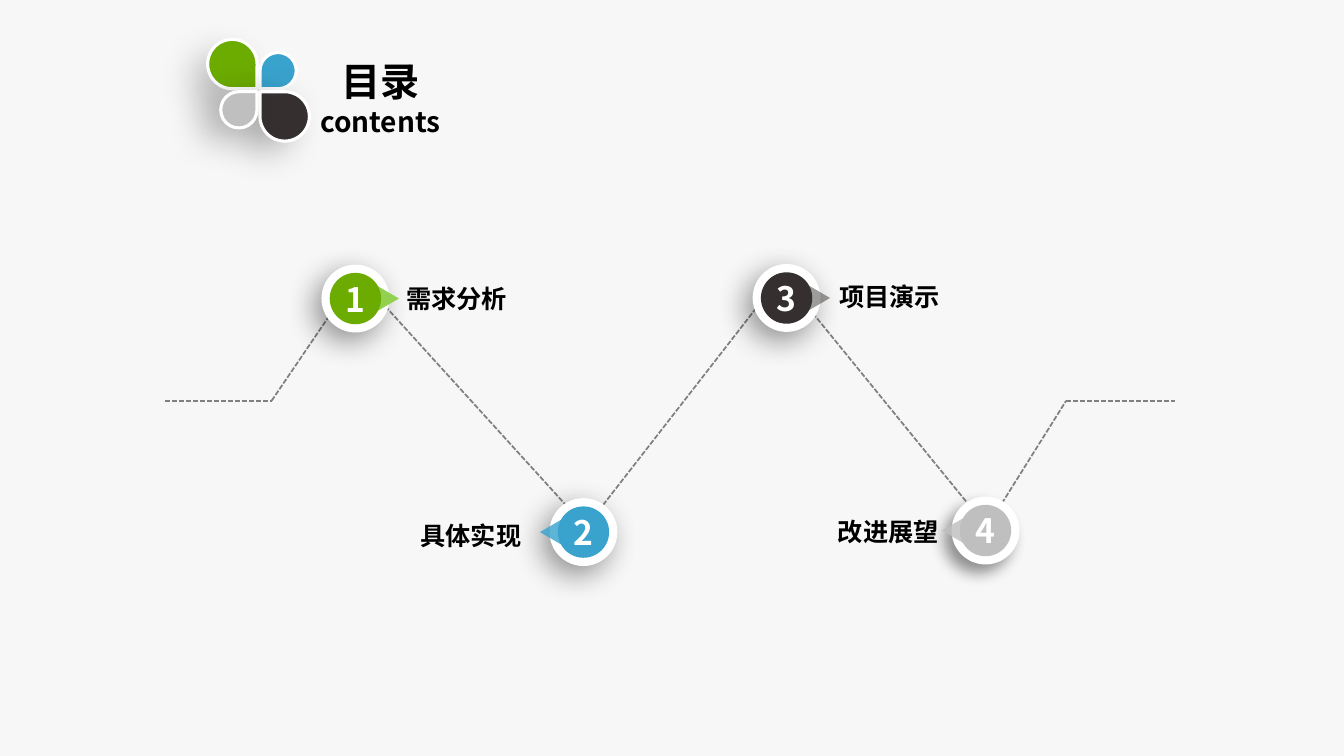
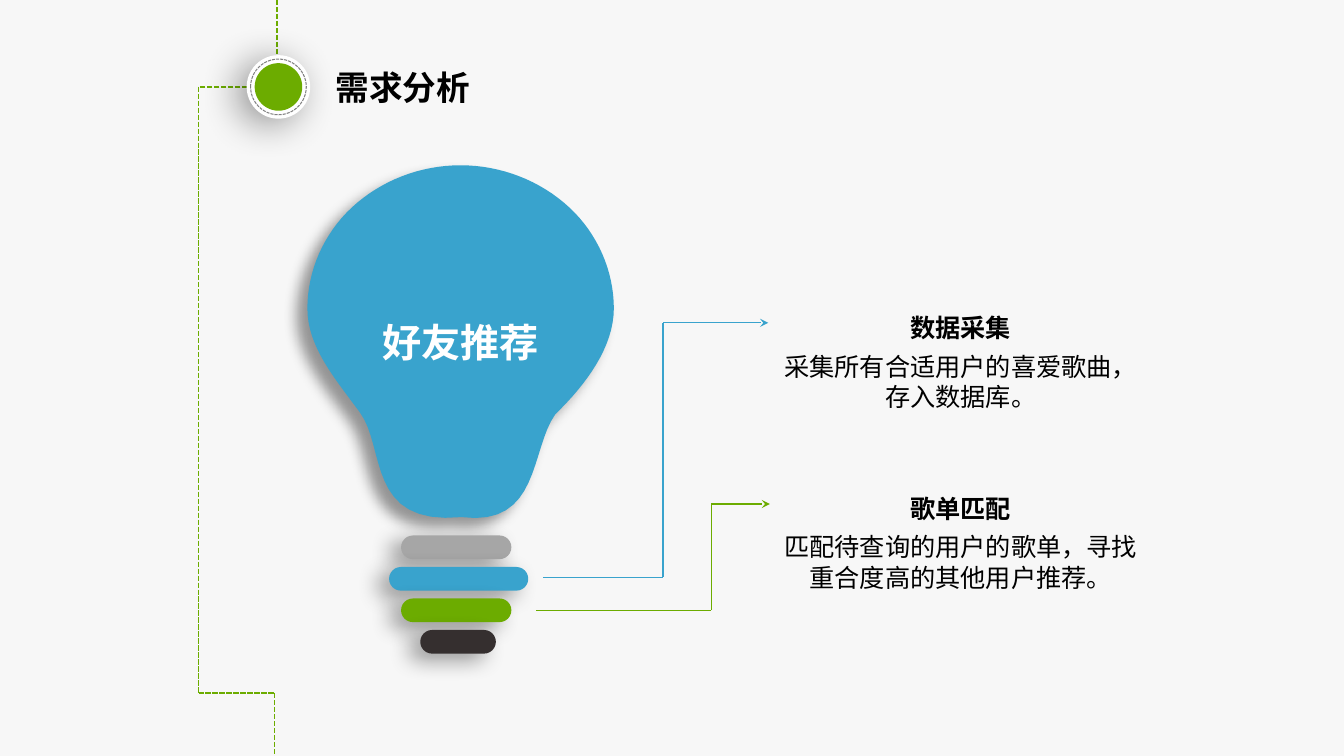
from itertools import pairwise

from lxml.etree import SubElement
from pptx import Presentation
from pptx.dml.color import RGBColor
from pptx.enum.dml import MSO_LINE
from pptx.enum.shapes import MSO_CONNECTOR, MSO_SHAPE as Preset
from pptx.enum.text import MSO_ANCHOR as Anchor, MSO_AUTO_SIZE, PP_ALIGN as Align
from pptx.oxml.ns import qn
from pptx.util import Pt

GREEN = RGBColor(0x6C, 0xAC, 0x00)
LIGHT_GREEN = RGBColor(0x92, 0xD0, 0x50)
BLUE = RGBColor(0x39, 0xA3, 0xCD)
DARK = RGBColor(0x35, 0x2F, 0x2F)
SILVER = RGBColor(0xBF, 0xBF, 0xBF)
MID_GRAY = RGBColor(0xA6, 0xA6, 0xA6)
LINE_GRAY = RGBColor(0x80, 0x80, 0x80)
WHITE = RGBColor(0xFF, 0xFF, 0xFF)
BLACK = RGBColor(0x00, 0x00, 0x00)
BACKGROUND = RGBColor(0xF7, 0xF7, 0xF7)

CJK = "Noto Sans CJK SC"
LATIN = "Arial"
SLIDE_WIDTH, SLIDE_HEIGHT = 960, 540


# Shared helpers
def write(shape, text, size=18, font=CJK, color=BLACK, bold=True, align=Align.LEFT,
          anchor=Anchor.MIDDLE, line_spacing=1.0, after=0):
    """Add one formatted paragraph to a shape."""
    frame = shape.text_frame
    frame.word_wrap = True
    frame.auto_size = MSO_AUTO_SIZE.NONE
    frame.vertical_anchor = anchor
    paragraph = frame.add_paragraph() if frame.text else frame.paragraphs[0]
    paragraph.alignment = align
    paragraph.line_spacing = line_spacing
    paragraph.space_before, paragraph.space_after = Pt(0), Pt(after)
    run = paragraph.add_run()
    run.text = text
    run.font.size, run.font.bold, run.font.name = Pt(size), bold, font
    run.font.color.rgb = color
    SubElement(run.font._element, qn("a:ea"), typeface=font)
    return paragraph


def place(shape, left, top, width, height):
    shape.left, shape.top = Pt(left), Pt(top)
    shape.width, shape.height = Pt(width), Pt(height)


def paint(shape, fill=None, alpha=None, line=None, weight=1, shadow=None):
    """shadow is (opacity %, blur, distance, angle)."""
    if fill is None:
        shape.fill.background()
    else:
        shape.fill.solid()
        shape.fill.fore_color.rgb = fill
    if alpha is not None:
        color = shape.fill._xPr.find(qn("a:solidFill"))[0]
        SubElement(color, qn("a:alpha"), val=str(alpha * 1000))
    if line is None:
        shape.line.fill.background()
    else:
        shape.line.color.rgb = line
        shape.line.width = Pt(weight)
    shape.shadow.inherit = False
    if shadow:
        opacity, blur, distance, angle = shadow
        effects = shape._element.spPr.find(qn("a:effectLst"))
        outer = SubElement(effects, qn("a:outerShdw"), blurRad=str(Pt(blur)),
                           dist=str(Pt(distance)), dir=str(angle * 60000),
                           algn="ctr", rotWithShape="0")
        color = SubElement(outer, qn("a:srgbClr"), val=str(BLACK))
        SubElement(color, qn("a:alpha"), val=str(opacity * 1000))
    return shape


def add_preset(slide, preset, left, top, width, height, rotation=0, **look):
    shape = slide.shapes.add_shape(preset, Pt(left), Pt(top), Pt(width), Pt(height))
    shape.rotation = rotation
    return paint(shape, **look)


def add_polyline(slide, points, color, weight=1.25, dashed=True, arrow=False):
    for start, end in pairwise(points):
        connector = slide.shapes.add_connector(
            MSO_CONNECTOR.STRAIGHT, *(Pt(value) for value in (*start, *end)))
        connector.line.color.rgb = color
        connector.line.width = Pt(weight)
        if dashed:
            connector.line.dash_style = MSO_LINE.SQUARE_DOT
        if arrow and end == points[-1]:
            SubElement(connector.line._ln, qn("a:tailEnd"), type="stealth")
        SubElement(connector._element.spPr, qn("a:effectLst"))


# Contents slide
def add_clover(slide, left, top):
    """Four petals whose tips meet near the middle of the mark."""
    big, small, middle, gap = 35.3, 25.9, 35.3, 2.1
    far = middle + gap
    petals = [
        (0, 0, big, 90, GREEN, (23, 26, 15, 130)),
        (far, middle - small, small, 180, BLUE, None),
        (far, far, big, 270, DARK, (31, 26, 15, 160)),
        (middle - small, far, small, 0, SILVER, (28, 26, 15, 150)),
    ]
    for x, y, size, rotation, color, shadow in petals:
        add_preset(slide, Preset.TEAR, left + x, top + y, size, size, rotation,
                   fill=color, line=WHITE, weight=2.25, shadow=shadow)


def add_node(slide, left, top, number, color, pointer, alpha, to_right, blur=22):
    """Numbered disc in a white ring, with a pointer towards its label."""
    ring, disc, pointer_width, pointer_height = 42.5, 36.7, 19.4, 16.6
    inset = (ring - disc) / 2
    overhang = 11.2
    add_preset(slide, Preset.OVAL, left, top, ring, ring, fill=WHITE, line=WHITE,
               weight=6, shadow=(41, blur, 8, 130))
    pointer_left = ring - pointer_width + overhang if to_right else -overhang
    add_preset(slide, Preset.ISOSCELES_TRIANGLE, left + pointer_left,
               top + (ring - pointer_height) / 2, pointer_width, pointer_height,
               90 if to_right else 270, fill=pointer, alpha=alpha)
    circle = add_preset(slide, Preset.OVAL, left + inset, top + inset, disc, disc, fill=color)
    frame = circle.text_frame
    frame.margin_left = frame.margin_right = frame.margin_top = frame.margin_bottom = 0
    write(circle, number, size=24, color=WHITE, align=Align.CENTER)


def add_label(slide, left, top, text, align):
    box = slide.shapes.add_textbox(Pt(left), Pt(top), Pt(225.4), Pt(50.4))
    write(box, text, font=LATIN, align=align)


def build_contents(presentation):
    slide = presentation.slides.add_slide(presentation.slide_layouts[5])
    title = slide.shapes.title
    place(title, 221, 44.6, 101.5, 50.4)
    write(title, "目录", size=28, align=Align.CENTER)
    write(title, "contents", size=20, align=Align.CENTER)
    add_clover(slide, 148.3, 28.1)

    # Zigzag route through the four nodes
    level, high, low = 286.3, 196.5, 376.5
    add_polyline(slide, [(118, level), (194, level), (255, high), (418.5, low),
                         (558.5, high), (705, low), (761.5, level), (839, level)], LINE_GRAY)
    add_node(slide, 232.6, 192, "1", GREEN, LIGHT_GREEN, None, True)
    add_node(slide, 395.5, 358.8, "2", BLUE, BLUE, 81, False)
    add_node(slide, 540.6, 191.6, "3", DARK, DARK, 48, True)
    add_node(slide, 682.7, 357.7, "4", SILVER, SILVER, 82, False, blur=11)
    add_label(slide, 283, 188, "需求分析", Align.LEFT)
    add_label(slide, 154, 357.2, "具体实现", Align.RIGHT)
    add_label(slide, 592.5, 186.5, "项目演示", Align.LEFT)
    add_label(slide, 452.2, 354.3, "改进展望", Align.RIGHT)


# Analysis slide
def add_badge(slide, left, top, size):
    layers = [(0, dict(fill=WHITE, shadow=(40, 28, 8, 150))),
              (5.7, dict(fill=GREEN)),
              (2.8, dict(line=LINE_GRAY, weight=0.75))]
    for inset, look in layers:
        inner = size - 2 * inset
        circle = add_preset(slide, Preset.OVAL, left + inset, top + inset, inner, inner, **look)
    circle.line.dash_style = MSO_LINE.SQUARE_DOT


def add_bulb(slide, left, top, text):
    """Glass outline from cubic curves: two control points and an end each."""
    start = (0, 102.2)
    curves = [
        ((0, 75.6), (11.5, 49), (31.7, 30.2)),
        ((52.6, 10.8), (80.6, 0), (109.4, 0)),
        ((138.2, 0), (166.3, 10.8), (187.2, 30.2)),
        ((207.4, 49), (218.9, 75.6), (218.9, 102.2)),
        ((218.9, 129.6), (199.4, 156.2), (177.1, 177.8)),
        ((159.1, 203), (166.3, 258.5), (110.2, 251.3)),
        ((41.8, 257.8), (56.2, 201.6), (37.4, 176.4)),
        ((19.4, 151.9), (0, 129.6), start),
    ]
    steps = 16
    outline = []
    current = start
    for first, second, end in curves:
        for step in range(1, steps + 1):
            t = step / steps
            outline.append(tuple(
                Pt(origin + (1 - t) ** 3 * a + 3 * (1 - t) ** 2 * t * b
                   + 3 * (1 - t) * t ** 2 * c + t ** 3 * d)
                for origin, a, b, c, d in zip((left, top), current, first, second, end)))
        current = end
    builder = slide.shapes.build_freeform(*outline[-1])
    builder.add_line_segments(outline, close=True)
    glass = paint(builder.convert_to_shape(), fill=BLUE, shadow=(40, 10, 10, 140))
    write(glass, text, size=28, color=WHITE, align=Align.CENTER)

    # Screw base below the glass
    base = [(66.9, 78.8, MID_GRAY), (58.3, 99.4, BLUE), (66.9, 78.8, GREEN), (80.6, 54, DARK)]
    for index, (x, width, color) in enumerate(base):
        bar = add_preset(slide, Preset.ROUNDED_RECTANGLE, left + x, top + 264.4 + 22.5 * index,
                         width, 16.9, fill=color, shadow=(40, 16, 9, 150))
        bar.adjustments[0] = 0.5


def fill_item(body, left, top, heading, detail):
    place(body, left, top, 269.3, 90)
    shared = dict(font=LATIN, align=Align.CENTER, anchor=Anchor.TOP)
    for paragraph in (write(body, heading, line_spacing=1.5, after=6, **shared),
                      write(body, detail, bold=False, **shared)):
        properties = paragraph._p.get_or_add_pPr()
        properties.set("marL", "0")
        properties.set("indent", "0")
        SubElement(properties, qn("a:buNone"))


def build_analysis(presentation):
    slide = presentation.slides.add_slide(presentation.slide_layouts[3])
    title, first_item, second_item = slide.placeholders
    place(title, 232.6, 36.7, 388, 50.4)
    write(title, "需求分析", size=24)

    # Dashed side frame and badge
    add_polyline(slide, [(198, 0), (198, 60)], GREEN)
    add_polyline(slide, [(201.6, 61.9), (141.8, 61.9), (141.8, 495),
                         (196, 495), (196, SLIDE_HEIGHT)], GREEN)
    add_badge(slide, 176.2, 39.4, 45.4)

    add_bulb(slide, 219.6, 118.1, "好友推荐")

    # Arrows from the base to the items
    add_polyline(slide, [(388, 412.5), (473.6, 412.5), (473.6, 230.6), (548.8, 230.6)],
                 BLUE, 0.75, dashed=False, arrow=True)
    add_polyline(slide, [(383, 435.8), (508, 435.8), (508, 360), (550, 360)],
                 GREEN, 0.75, dashed=False, arrow=True)
    fill_item(first_item, 551.5, 208.8, "数据采集", "采集所有合适用户的喜爱歌曲，存入数据库。")
    fill_item(second_item, 551.5, 337.7, "歌单匹配",
              "匹配待查询的用户的歌单，寻找重合度高的其他用户推荐。")


presentation = Presentation()
presentation.slide_width, presentation.slide_height = Pt(SLIDE_WIDTH), Pt(SLIDE_HEIGHT)
master_fill = presentation.slide_master.background.fill
master_fill.solid()
master_fill.fore_color.rgb = BACKGROUND
build_contents(presentation)
build_analysis(presentation)
presentation.save("out.pptx")
